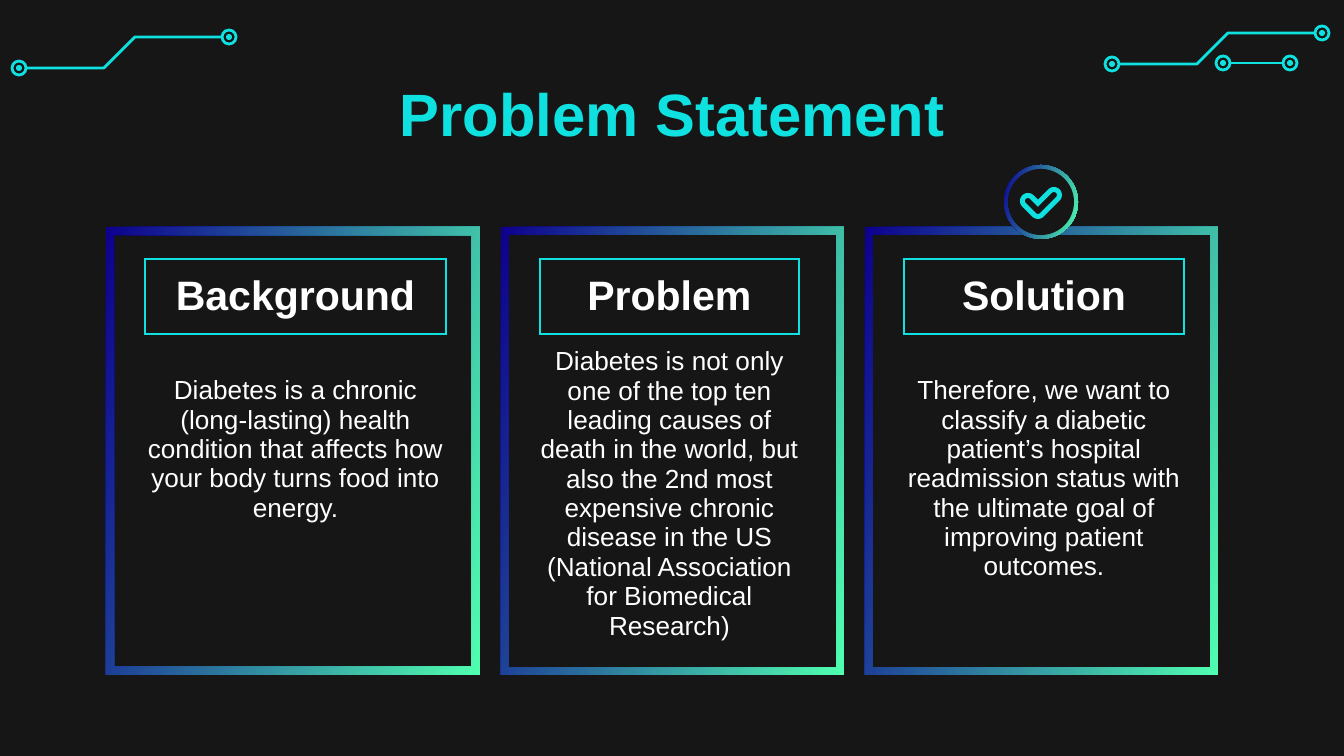
import dataclasses
import math

import pptx
import pptx.dml.color
import pptx.enum.dml
import pptx.enum.shapes
import pptx.enum.text
import pptx.oxml.ns
import pptx.util
from lxml import etree

PX = 914400 / 134.4
SHAPE = pptx.enum.shapes.MSO_SHAPE
MIDDLE = pptx.enum.text.MSO_ANCHOR.MIDDLE
CENTER = pptx.enum.text.PP_ALIGN.CENTER


def rgb(code):
    return pptx.dml.color.RGBColor.from_string(code)


@dataclasses.dataclass(frozen=True)
class Theme:
    font: str = "Arial"
    back: str = "161616"
    glow: str = "0FE0E0"
    text: str = "FFFFFF"
    dark: str = "0D008E"
    light: str = "50FFB0"
    title: int = 32
    head: int = 22
    body: int = 14
    line: float = 1.5


THEME = Theme()


def emu(*sizes):
    return [round(size * PX) for size in sizes]


def assign(target, values):
    for name, value in values.items():
        setattr(target, name, value)


def write(frame, text, size, color, bold):
    para = frame.paragraphs[0]
    para.text = text
    assign(para, {"alignment": CENTER, "line_spacing": 1.0})
    assign(para.runs[0].font, {"name": THEME.font, "size": pptx.util.Pt(size), "bold": bold})
    para.runs[0].font.color.rgb = rgb(color)


def stroke(line):
    line.color.rgb = rgb(THEME.glow)
    line.width = pptx.util.Pt(THEME.line)


def add_shape(slide, kind, box, adjust=None):
    """Add a preset shape with no line or shadow; the caller fills it."""
    shape = slide.shapes.add_shape(kind, *emu(*box))
    shape.shadow.inherit = False
    shape.line.fill.background()
    if adjust is not None:
        shape.adjustments[0] = adjust
    return shape


def fill_solid(shape, color):
    shape.fill.solid()
    shape.fill.fore_color.rgb = rgb(color)


def fill_blend(shape):
    shape.fill.gradient()
    shape.fill.gradient_angle = 345
    for stop, color in zip(shape.fill.gradient_stops, (THEME.dark, THEME.light)):
        stop.color.rgb = rgb(color)


def add_node(slide, x, y):
    """Draw a ring with a dot, centred on the point."""
    ring = add_shape(slide, SHAPE.OVAL, (x - 7, y - 7, 14, 14))
    ring.fill.background()
    stroke(ring.line)
    fill_solid(add_shape(slide, SHAPE.OVAL, (x - 3, y - 3, 6, 6)), THEME.glow)


def add_trace(slide, left, top):
    """Draw a stepped wire, rising to the right, between two nodes."""
    points = [emu(left + x, top + y) for x, y in ((7, 31), (85, 31), (116, 0), (203, 0))]
    pen = slide.shapes.build_freeform(*points[0])
    pen.add_line_segments(points[1:], close=False)
    wire = pen.convert_to_shape()
    wire.shadow.inherit = False
    wire.fill.background()
    stroke(wire.line)
    add_node(slide, left, top + 31)
    add_node(slide, left + 210, top)


def add_stub(slide, left, top, width):
    wire = slide.shapes.add_connector(
        pptx.enum.shapes.MSO_CONNECTOR.STRAIGHT, *emu(left + 7, top, left + width - 7, top))
    stroke(wire.line)
    etree.SubElement(wire._element.spPr, pptx.oxml.ns.qn("a:effectLst"))
    for x in (left, left + width):
        add_node(slide, x, top)


def add_title(slide, text, box):
    title = slide.shapes.title
    assign(title, dict(zip(("left", "top", "width", "height"), emu(*box))))
    assign(title.text_frame, {
        "vertical_anchor": MIDDLE, "word_wrap": True,
        "auto_size": pptx.enum.text.MSO_AUTO_SIZE.NONE})
    write(title.text_frame, text, THEME.title, THEME.glow, True)


def set_edges(cell, shown):
    """Line the named edges of a cell (from L, R, T, B) and clear the rest."""
    props = cell._tc.get_or_add_tcPr()
    for spot, side in enumerate("LRTB"):
        edge = etree.Element(pptx.oxml.ns.qn(f"a:ln{side}"), w=str(pptx.util.Pt(THEME.line)))
        kind = "solidFill" if side in shown else "noFill"
        fill = etree.SubElement(edge, pptx.oxml.ns.qn(f"a:{kind}"))
        if side in shown:
            etree.SubElement(fill, pptx.oxml.ns.qn("a:srgbClr"), val=THEME.glow)
        props.insert(spot, edge)


def add_panel(slide, box, head, body, drop):
    """Draw a frame holding a heading and text; drop lowers the text."""
    left, top, width, height = box
    fill_blend(add_shape(slide, SHAPE.FRAME, box, 0.022))
    grid = slide.shapes.add_table(2, 1, *emu(left + 39, top + 32, width - 2 * 39 + 10, 225)).table
    assign(grid, {"first_row": False, "horz_banding": False})
    grid.columns[0].width = emu(width - 70 - (14 if width < 350 else 3))[0]
    rows = (
        (head, THEME.head, True, 75, "LRTB", (13, 0, 13, 0)),
        (body, THEME.body, False, 150, "T", (0, 13 + drop, 0, 13)),
    )
    sides = ("margin_left", "margin_top", "margin_right", "margin_bottom")
    for row, (text, size, bold, tall, edges, gaps) in enumerate(rows):
        grid.rows[row].height = emu(tall)[0]
        cell = grid.cell(row, 0)
        assign(cell, {"vertical_anchor": MIDDLE, **dict(zip(sides, emu(*gaps)))})
        cell.fill.background()
        set_edges(cell, edges)
        write(cell.text_frame, text, size, THEME.text, bold)


def trace_tick(low, turn, high, reach):
    """Return the rounded outline of a tick whose strokes are 2 * reach wide."""
    points = [(turn[0], turn[1] - reach * math.sqrt(2))]
    for (x, y), start, end in ((high, -135, 45), (turn, 45, 135), (low, 135, 315)):
        for angle in range(start, end + 1, 15):
            turned = math.radians(angle)
            points.append((x + reach * math.cos(turned), y + reach * math.sin(turned)))
    return [emu(*point) for point in points]


def add_badge(slide, left, top, size):
    fill_blend(add_shape(slide, SHAPE.DONUT, (left, top, size, size), 0.05))
    fill_solid(add_shape(slide, SHAPE.OVAL, (left + 4, top + 4, size - 8, size - 8)), THEME.back)
    spine = [(left + x, top + y) for x, y in ((24, 36), (34, 46), (50, 30))]
    outer = trace_tick(*spine, 8)
    inner = trace_tick(*spine, 3)[::-1]
    pen = slide.shapes.build_freeform(*outer[0])
    pen.add_line_segments(outer[1:])
    pen.move_to(*inner[0])
    pen.add_line_segments(inner[1:])
    tick = pen.convert_to_shape()
    tick.shadow.inherit = False
    tick.line.fill.background()
    fill_solid(tick, THEME.glow)


def main():
    deck = pptx.Presentation()
    deck.slide_width, deck.slide_height = emu(1344, 756)
    slide = deck.slides.add_slide(deck.slide_layouts[5])
    slide.background.fill.solid()
    slide.background.fill.fore_color.rgb = rgb(THEME.back)

    add_trace(slide, 1112, 33)
    add_stub(slide, 1223, 63, 67)
    add_trace(slide, 19, 37)
    add_title(slide, "Problem Statement", (106, 79, 1133, 67))
    panels = (
        (106, 374, "Background", "Diabetes is a chronic (long-lasting) health condition "
         "that affects how your body turns food into energy.", 29),
        (501, 343, "Problem", "Diabetes is not only one of the top ten leading causes of "
         "death in the world, but also the 2nd most expensive chronic disease in the US "
         "(National Association for Biomedical Research)", 0),
        (865, 353, "Solution", "Therefore, we want to classify a diabetic patient’s hospital "
         "readmission status with the ultimate goal of improving patient outcomes.", 29),
    )
    for left, width, head, body, drop in panels:
        add_panel(slide, (left, 227, width, 448), head, body, drop)
    add_badge(slide, 1004, 165, 74)
    deck.save("out.pptx")


if __name__ == "__main__":
    main()
